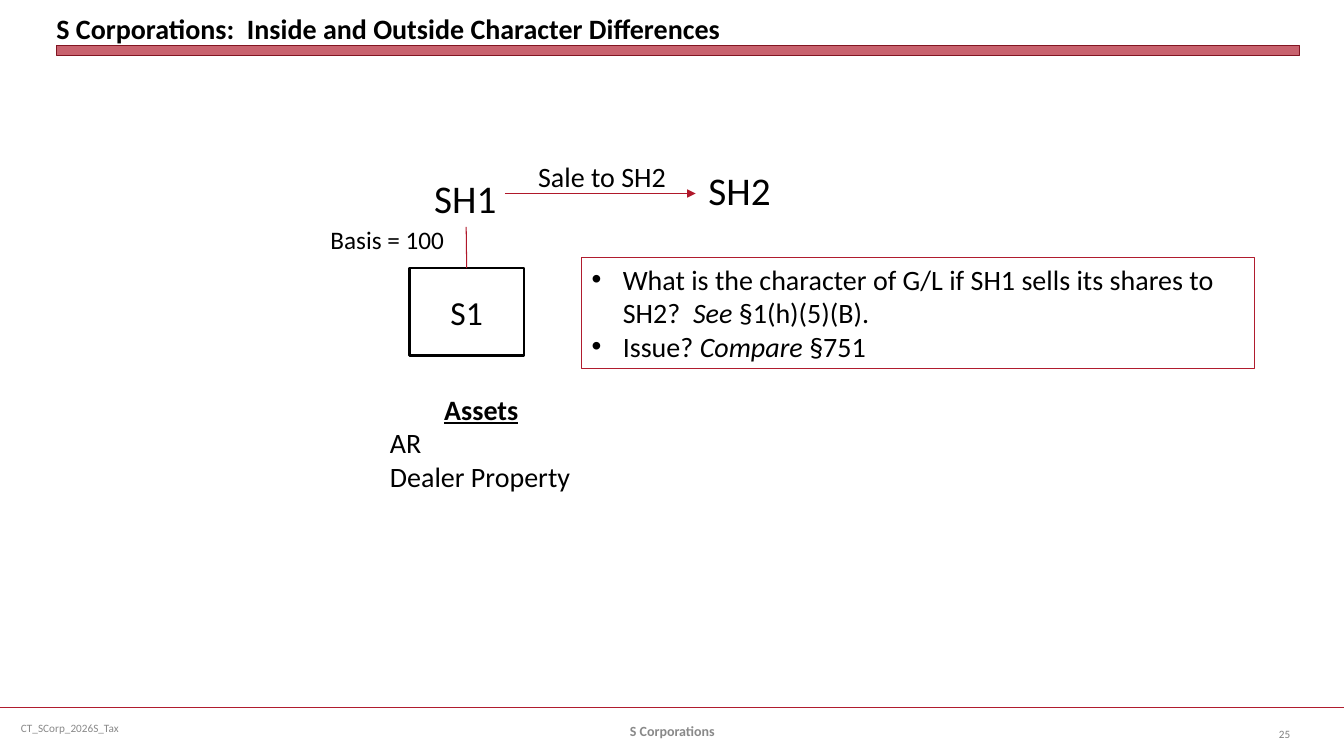
from collections import namedtuple

from lxml.etree import SubElement
from pptx import Presentation
from pptx.dml.color import RGBColor
from pptx.enum.shapes import MSO_CONNECTOR as CONNECTOR, MSO_SHAPE as SHAPE
from pptx.enum.text import MSO_ANCHOR as ANCHOR, MSO_AUTO_SIZE as AUTO_SIZE, PP_ALIGN as ALIGN
from pptx.oxml.ns import qn
from pptx.util import Inches, Pt

FONT = "Calibri"
BLACK = RGBColor(0x00, 0x00, 0x00)
GRAY = RGBColor(0x89, 0x89, 0x89)
NUMBER_GRAY = RGBColor(0x80, 0x80, 0x80)
CRIMSON = RGBColor(0xB0, 0x1C, 0x2E)
LINK_RED = RGBColor(0xB0, 0x18, 0x2A)
DARK_RED = RGBColor(0x82, 0x15, 0x22)

COLUMNS, ROWS = 160, 90
CELL = Inches(1 / 12)
BULLET_INDENT = Inches(0.31)

Box = namedtuple("Box", "left top width height")


def inside(box, left, top, width, height):
    """Return a box in grid cells, offset from the corner of its parent."""
    return Box(box.left + left, box.top + top, width, height)


def cells(*counts):
    """Turn counts of grid cells into lengths."""
    return [round(count * CELL) for count in counts]


def add_bullet(paragraph):
    """Give a paragraph a round bullet and a hanging indent."""
    properties = paragraph._p.get_or_add_pPr()
    properties.set("marL", str(BULLET_INDENT))
    properties.set("indent", str(-BULLET_INDENT))
    SubElement(properties, qn("a:buFont"), typeface="Arial")
    SubElement(properties, qn("a:buChar"), char="•")


def write(shape, *paragraphs, size, color=BLACK, bold=False, align=ALIGN.LEFT,
          anchor=ANCHOR.TOP, wrap=True, bullets=False):
    """Fill a shape with paragraphs, each a string or a list of (text, format) runs."""
    frame = shape.text_frame
    frame.word_wrap = wrap
    frame.auto_size = AUTO_SIZE.NONE if wrap else AUTO_SIZE.SHAPE_TO_FIT_TEXT
    frame.vertical_anchor = anchor
    for index, runs in enumerate(paragraphs):
        paragraph = frame.add_paragraph() if index else frame.paragraphs[0]
        paragraph.alignment = align
        if bullets:
            add_bullet(paragraph)
        for text, style in [(runs, {})] if isinstance(runs, str) else runs:
            run = paragraph.add_run()
            run.text = text
            font = run.font
            font.name, font.size, font.bold = FONT, Pt(size), bold
            font.color.rgb = color
            for name, value in style.items():
                setattr(font, name, value)
    return shape


def add_text(slide, box, *paragraphs, **style):
    """Add a text box and write in it."""
    return write(slide.shapes.add_textbox(*cells(*box)), *paragraphs, **style)


def add_rectangle(slide, box, line, width, fill=None, opacity=100):
    """Add a rectangle with an outline and an optional see-through fill."""
    shape = slide.shapes.add_shape(SHAPE.RECTANGLE, *cells(*box))
    shape.shadow.inherit = False
    shape.line.color.rgb = line
    shape.line.width = Pt(width)
    if fill is None:
        shape.fill.background()
    else:
        shape.fill.solid()
        shape.fill.fore_color.rgb = fill
        color = shape._element.spPr.find(qn("a:solidFill"))[0]
        SubElement(color, qn("a:alpha"), val=str(opacity * 1000))
    return shape


def add_line(slide, start, end, color, width, arrow=False):
    """Add a straight line, with an arrowhead at its end if asked."""
    line = slide.shapes.add_connector(CONNECTOR.STRAIGHT, *cells(*start, *end))
    line.line.color.rgb = color
    line.line.width = Pt(width)
    if arrow:
        SubElement(line.line._get_or_add_ln(), qn("a:tailEnd"), type="triangle")
    SubElement(line._element.spPr, qn("a:effectLst"))
    return line


def add_header(slide, box):
    """Place the title on top of its red bar."""
    title = add_text(slide, inside(box, 0, 0, box.width, 4.8),
                     "S Corporations:  Inside and Outside Character Differences",
                     size=20, bold=True, anchor=ANCHOR.BOTTOM)
    frame = title.text_frame
    frame.margin_left = frame.margin_right = frame.margin_top = frame.margin_bottom = 0
    add_rectangle(slide, inside(box, 0, 4.8, box.width, 1.2), DARK_RED, 0,
                  fill=CRIMSON, opacity=69)


def add_footer(slide, box):
    """Place the rule, the course tag, the topic and the page number."""
    add_line(slide, (box.left, box.top), (box.left + box.width, box.top), CRIMSON, 1.25)
    add_text(slide, inside(box, 1.32, 0, 41.28, 4.8), "CT_SCorp_2026S_Tax",
             size=8, color=GRAY, anchor=ANCHOR.MIDDLE)
    add_text(slide, inside(box, 54.72, 0.36, 50.64, 4.8), "S Corporations",
             size=10, color=GRAY, bold=True, align=ALIGN.CENTER, anchor=ANCHOR.MIDDLE)
    add_text(slide, inside(box, 146.76, 0.72, 8.04, 4.8), "25",
             size=8, color=NUMBER_GRAY, align=ALIGN.RIGHT, anchor=ANCHOR.MIDDLE)


def add_ownership_diagram(slide, box):
    """Place the shareholders, the corporation, its assets and the share sale."""
    corporation = add_rectangle(slide, inside(box, 10.72, 13.92, 13.68, 10.44), BLACK, 2)
    write(corporation, "S1", size=24, align=ALIGN.CENTER, anchor=ANCHOR.MIDDLE)
    seller = add_text(slide, inside(box, 12.52, 2.16, 9.96, 6.84), "SH1", size=28, wrap=False)
    add_text(slide, inside(box, 45.16, 1.2, 9.96, 6.84), "SH2", size=28, wrap=False)

    ownership = add_line(slide, (0, 0), (1, 1), LINK_RED, 0.75)
    ownership.begin_connect(seller, 2)
    ownership.end_connect(corporation, 0)
    add_text(slide, inside(box, 0.16, 8.16, 16.08, 4.8), "Basis = 100", size=18, wrap=False)

    sale_top = box.top + 5.04
    add_line(slide, (box.left + 22.12, sale_top), (box.left + 44.8, sale_top),
             LINK_RED, 0.75, arrow=True)
    add_text(slide, inside(box, 24.88, 0.36, 17.76, 5.28), "Sale to SH2", size=20, wrap=False)

    assets = add_text(slide, inside(box, 7.24, 28.08, 24.12, 13.32),
                      [("Assets", {"bold": True, "underline": True})],
                      "AR", "Dealer Property", size=20, wrap=False)
    assets.text_frame.paragraphs[0].alignment = ALIGN.CENTER


def add_questions(slide, box):
    """Place the framed questions on the character of gain or loss."""
    italic = {"italic": True}
    write(add_rectangle(slide, box, CRIMSON, 0.75),
          [("What is the character of G/L if SH1 sells its shares to SH2?  ", {}),
           ("See ", italic), ("§1(h)(5)(B).", {})],
          [("Issue? ", {}), ("Compare ", italic), ("§751", {})],
          size=20, bullets=True)


def main():
    """Build the slide and save it."""
    presentation = Presentation()
    presentation.slide_width, presentation.slide_height = cells(COLUMNS, ROWS)
    slide = presentation.slides.add_slide(presentation.slide_layouts[6])
    add_header(slide, Box(6.72, 0.6, 148, 6))
    add_footer(slide, Box(0, 84.24, COLUMNS, 5.76))
    add_ownership_diagram(slide, Box(38, 18, 56, 42))
    add_questions(slide, Box(69.24, 30.6, 80.16, 13.32))
    presentation.save("out.pptx")


if __name__ == "__main__":
    main()
